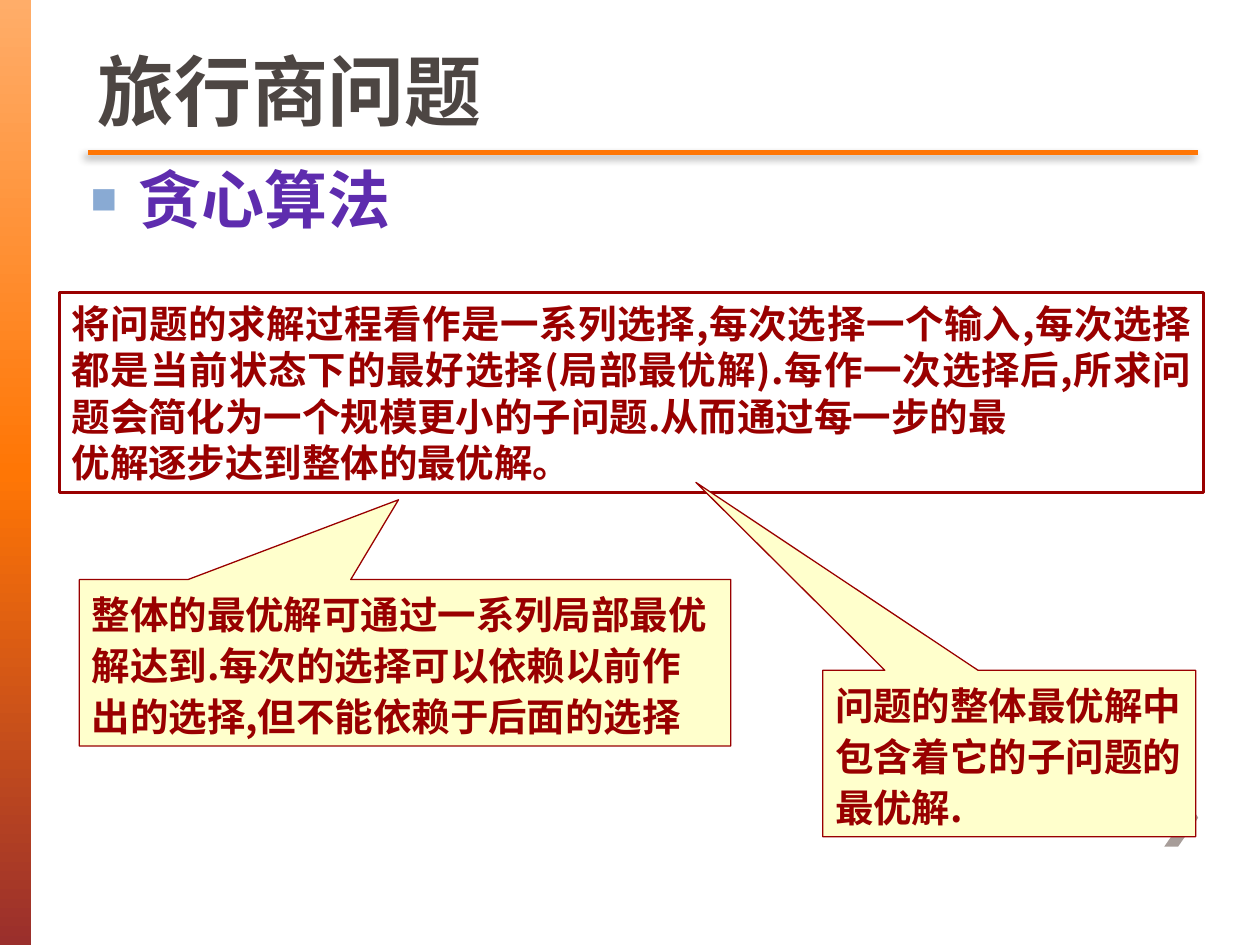
from copy import deepcopy

from lxml.etree import SubElement
from pptx import Presentation
from pptx.dml.color import RGBColor
from pptx.enum.shapes import MSO_CONNECTOR, MSO_SHAPE
from pptx.enum.text import MSO_ANCHOR, MSO_AUTO_SIZE, PP_ALIGN
from pptx.oxml.ns import qn
from pptx.util import Inches, Pt

COLUMNS, ROWS = 1000, 750
CELL = Inches(0.01)
CHINESE_FONT = "Noto Sans CJK SC"
RED = "990000"
ORANGE = "FF7605"


def color(value):
    return RGBColor.from_string(value)


def cells(*counts):
    return [round(count * CELL) for count in counts]


def place(shape, left, top, width, height):
    shape.left, shape.top, shape.width, shape.height = cells(left, top, width, height)


def add_text(paragraph, text, size, font_name, font_color):
    run = paragraph.add_run()
    run.text = text
    run.font.size = Pt(size)
    run.font.bold = True
    run.font.name = font_name
    run.font.color.rgb = color(font_color)
    SubElement(run.font._element, qn("a:ea"), typeface=CHINESE_FONT)


def add_side_band(slide):
    band = slide.shapes.add_shape(MSO_SHAPE.RECTANGLE, *cells(0, 0, COLUMNS / 40, ROWS))
    band.shadow.inherit = False
    band.line.fill.background()
    band.fill.gradient()
    band.fill.gradient_angle = 270
    stop_list = band._element.spPr.find(qn("a:gradFill")).find(qn("a:gsLst"))
    stop_list.append(deepcopy(stop_list[-1]))
    stops = [(0, "FFAD69"), (0.5, ORANGE), (1, "9A2F2C")]
    for stop, (position, value) in zip(band.fill.gradient_stops, stops):
        stop.position = position
        stop.color.rgb = color(value)


def add_chevron(slide):
    builder = slide.shapes.build_freeform(935, 625, scale=CELL)
    builder.add_line_segments([(924, 625), (940, 649), (924, 672), (935, 672), (951, 649)])
    chevron = builder.convert_to_shape()
    chevron.shadow.inherit = False
    chevron.fill.solid()
    chevron.fill.fore_color.rgb = color("A79D99")
    chevron.line.fill.background()


def add_title_rule(slide):
    rule = slide.shapes.add_connector(MSO_CONNECTOR.STRAIGHT, *cells(70, 121, 951, 121))
    rule.line.color.rgb = color(ORANGE)
    rule.line.width = Pt(2.5)
    effects = SubElement(rule._element.spPr, qn("a:effectLst"))
    shadow = SubElement(effects, qn("a:outerShdw"), blurRad=str(Pt(5)), dist=str(Pt(3)),
                        dir=str(135 * 60000), algn="tl", rotWithShape="0")
    shade = SubElement(shadow, qn("a:srgbClr"), val="000000")
    SubElement(shade, qn("a:alpha"), val="45000")


def fill_title(title, text):
    place(title, 67, 0, 881, 113)
    frame = title.text_frame
    frame.auto_size = MSO_AUTO_SIZE.NONE
    frame.vertical_anchor = MSO_ANCHOR.BOTTOM
    paragraph = frame.paragraphs[0]
    paragraph.alignment = PP_ALIGN.LEFT
    add_text(paragraph, text, 44, "Arial", "4D4643")


def fill_body(body, text):
    place(body, 62, 134, 850, 465)
    body.text_frame.auto_size = MSO_AUTO_SIZE.NONE
    paragraph = body.text_frame.paragraphs[0]
    properties = paragraph._element.get_or_add_pPr()
    properties.set("marL", str(Inches(0.38)))
    properties.set("indent", str(-Inches(0.38)))
    bullet_color = SubElement(properties, qn("a:buClr"))
    SubElement(bullet_color, qn("a:srgbClr"), val="89AAD3")
    SubElement(properties, qn("a:buSzPct"), val="70000")
    SubElement(properties, qn("a:buFont"), typeface="Arial")
    SubElement(properties, qn("a:buChar"), char="■")
    paragraph.line_spacing = 0.8
    paragraph.space_before = Pt(0)
    add_text(paragraph, text, 36, "Times New Roman", "5E2CAE")


def add_box(slide, kind, area, lines, alignments, line_width, spacing=None, fill=None, wrap=True):
    box = slide.shapes.add_shape(kind, *cells(*area))
    box.shadow.inherit = False
    box.line.color.rgb = color(RED)
    box.line.width = Pt(line_width)
    if fill:
        box.fill.solid()
        box.fill.fore_color.rgb = color(fill)
    else:
        box.fill.background()
    frame = box.text_frame
    frame.word_wrap = wrap
    frame.vertical_anchor = MSO_ANCHOR.MIDDLE
    for index, (text, alignment) in enumerate(zip(lines, alignments)):
        paragraph = frame.add_paragraph() if index else frame.paragraphs[0]
        paragraph.alignment = alignment
        if spacing:
            paragraph.line_spacing = spacing
        add_text(paragraph, text, 22, CHINESE_FONT, RED)
    return box


def add_callout(slide, area, tip, lines, alignment, wrap):
    callout = add_box(slide, MSO_SHAPE.RECTANGULAR_CALLOUT, area, lines,
                      [alignment] * len(lines), 0.75, 1.1, "FFFFCC", wrap)
    callout.adjustments[0], callout.adjustments[1] = tip


def main():
    presentation = Presentation()
    presentation.slide_width, presentation.slide_height = cells(COLUMNS, ROWS)
    slide = presentation.slides.add_slide(presentation.slide_layouts[1])
    add_side_band(slide)
    add_chevron(slide)
    add_title_rule(slide)
    fill_title(slide.shapes.title, "旅行商问题")
    fill_body(slide.placeholders[1], "贪心算法")
    add_box(slide, MSO_SHAPE.RECTANGLE, (47, 232, 908, 159), [
        "将问题的求解过程看作是一系列选择,每次选择一个输入,每次选择都是当前状态下的最好选择"
        "(局部最优解).每作一次选择后,所求问题会简化为一个规模更小的子问题.从而通过每一步的最",
        "优解逐步达到整体的最优解。",
    ], [PP_ALIGN.JUSTIFY, PP_ALIGN.LEFT], 1.5)
    add_callout(slide, (63, 460, 517, 132), (-0.01, -0.98), [
        "整体的最优解可通过一系列局部最优",
        "解达到.每次的选择可以依赖以前作",
        "出的选择,但不能依赖于后面的选择",
    ], PP_ALIGN.JUSTIFY, True)
    add_callout(slide, (653, 532, 296, 132), (-0.84, -1.63), [
        "问题的整体最优解中",
        "包含着它的子问题的",
        "最优解.",
    ], PP_ALIGN.LEFT, False)
    presentation.save("out.pptx")


if __name__ == "__main__":
    main()
